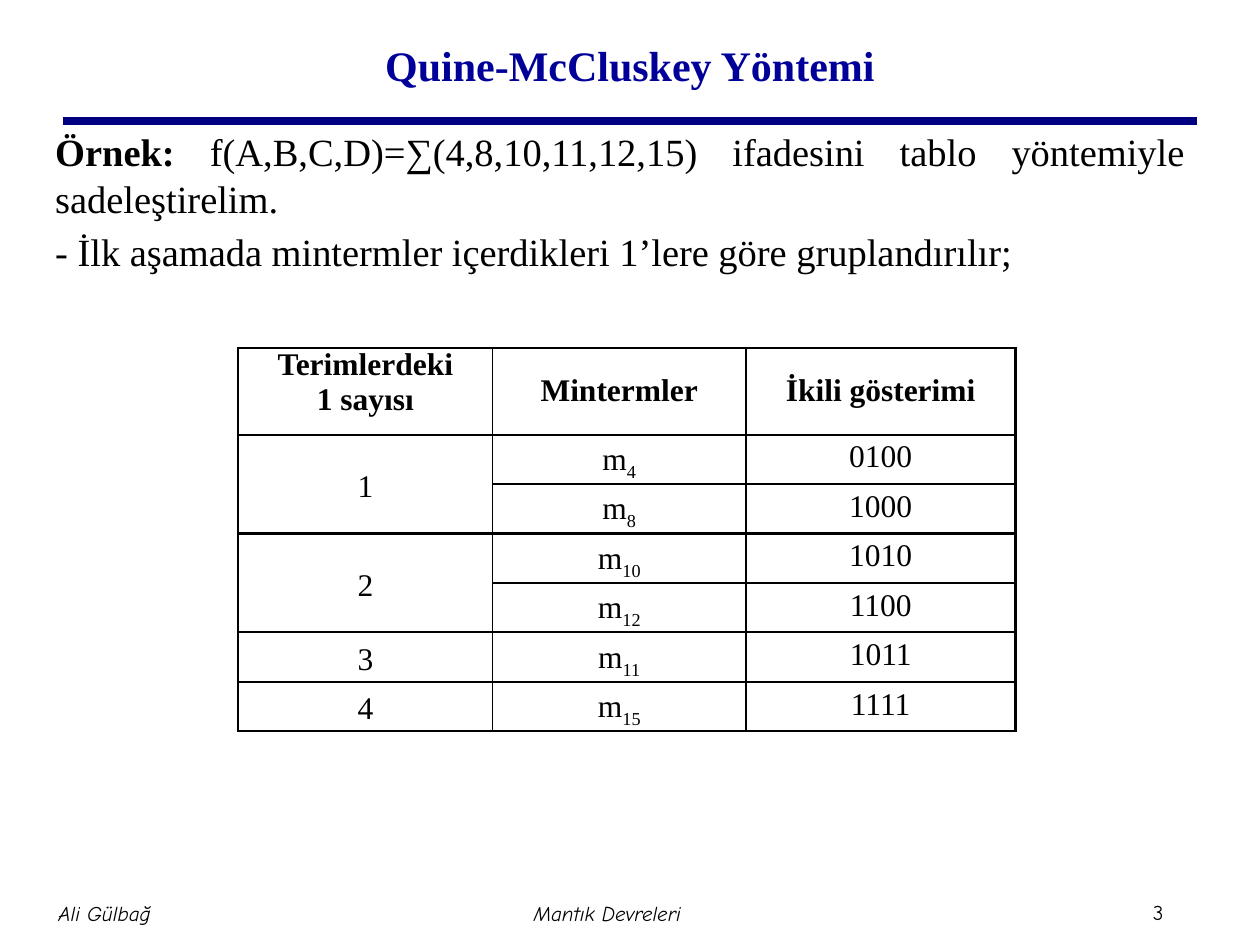
from pptx import Presentation
from pptx.dml.color import RGBColor
from pptx.enum.shapes import MSO_CONNECTOR as Link
from pptx.enum.text import MSO_ANCHOR as Anchor, PP_ALIGN as Align
from pptx.oxml.ns import qn
from pptx.util import Inches, Pt
from lxml.etree import SubElement

BLACK = RGBColor(0x00, 0x00, 0x00)
NAVY = RGBColor(0x00, 0x00, 0x80)
BLUE = RGBColor(0x00, 0x00, 0x99)
SERIF = "Times New Roman"
HAND = "Comic Neue"

COLS = (2.02, 2.01, 2.14)
HEAD_H, ROW_H = 0.69, 0.33
HEADS = (("Terimlerdeki", "1 sayısı"), ("Mintermler",), ("İkili gösterimi",))
GROUPS = (
    ("1", (("4", "0100"), ("8", "1000"))),
    ("2", (("10", "1010"), ("12", "1100"))),
    ("3", (("11", "1011"),)),
    ("4", (("15", "1111"),)),
)


def add_run(para, text, size, color=BLACK, face=SERIF, bold=False, italic=False):
    run = para.add_run()
    run.text = text
    font = run.font
    font.name, font.size = face, Pt(size)
    font.bold, font.italic = bold, italic
    font.color.rgb = color
    return run


def add_box(slide, box, anchor=Anchor.TOP, inset=0.1):
    frame = slide.shapes.add_textbox(*map(Inches, box)).text_frame
    frame.word_wrap = True
    frame.vertical_anchor = anchor
    frame.margin_left = frame.margin_right = Inches(inset)
    return frame


def add_title(slide, box):
    para = add_box(slide, box, Anchor.MIDDLE).paragraphs[0]
    para.alignment = Align.CENTER
    add_run(para, "Quine-McCluskey Yöntemi", 24, BLUE, bold=True)


def add_rule(slide, left, top, width):
    x, y = Inches(left), Inches(top)
    rule = slide.shapes.add_connector(Link.STRAIGHT, x, y, x + Inches(width), y)
    rule.line.color.rgb = NAVY
    rule.line.width = Pt(4.5)
    SubElement(rule._element.spPr, qn("a:effectLst"))


def add_body(slide, box):
    frame = add_box(slide, box)
    task = frame.paragraphs[0]
    add_run(task, "Örnek: ", 22, bold=True)
    add_run(task, "f(A,B,C,D)=∑(4,8,10,11,12,15) ifadesini tablo "
                  "yöntemiyle sadeleştirelim.", 22)
    step = frame.add_paragraph()
    step.space_before = Pt(4.4)
    add_run(step, "- İlk aşamada mintermler içerdikleri 1’lere göre "
                  "gruplandırılır;", 22)
    for para in frame.paragraphs:
        para.alignment = Align.JUSTIFY


def add_footer(slide, box, text, align=Align.CENTER, italic=True):
    para = add_box(slide, box, Anchor.MIDDLE, 0.05).paragraphs[0]
    para.alignment = align
    add_run(para, text, 12, face=HAND, italic=italic)


def set_edges(cell, widths):
    """Draw the left, right, top and bottom borders, widths in points."""
    props = cell._tc.get_or_add_tcPr()
    for side, width in zip("LRTB", widths):
        line = SubElement(props, qn("a:ln" + side), w=str(Pt(width)))
        fill = SubElement(line, qn("a:solidFill"))
        SubElement(fill, qn("a:srgbClr"), val=str(BLACK))
    cell.fill.background()


def fill_cell(cell, lines, anchor=Anchor.MIDDLE, sub="", bold=False, space=None):
    cell.vertical_anchor = anchor
    cell.margin_left = cell.margin_right = Inches(0.07)
    cell.margin_top = cell.margin_bottom = 0
    frame = cell.text_frame
    for i, text in enumerate(lines):
        para = frame.add_paragraph() if i else frame.paragraphs[0]
        para.alignment = Align.CENTER
        para.line_spacing = space
        add_run(para, text, 18, bold=bold)
    if sub:
        low = add_run(para, sub, 18)
        low.font._element.set("baseline", "-25000")


def add_terms(slide, left, top):
    count = 1 + sum(len(terms) for _, terms in GROUPS)
    height = HEAD_H + (count - 1) * ROW_H
    box = map(Inches, (left, top, sum(COLS), height))
    table = slide.shapes.add_table(count, len(COLS), *box).table
    table.first_row = table.horz_banding = False
    for col, width in zip(table.columns, COLS):
        col.width = Inches(width)
    for i, row in enumerate(table.rows):
        row.height = Inches(ROW_H if i else HEAD_H)

    starts = {0}
    for c, lines in enumerate(HEADS):
        anchor = Anchor.MIDDLE if c else Anchor.TOP
        fill_cell(table.cell(0, c), lines, anchor, bold=True)
    r = 1
    for ones, terms in GROUPS:
        starts.add(r)
        first = table.cell(r, 0)
        if len(terms) > 1:
            first.merge(table.cell(r + len(terms) - 1, 0))
        fill_cell(first, (ones,), space=1.15)
        for index, bits in terms:
            fill_cell(table.cell(r, 1), ("m",), sub=index, space=1.15)
            fill_cell(table.cell(r, 2), (bits,), Anchor.TOP, space=1.15)
            r += 1
    starts.add(r)

    last = len(COLS) - 1
    for r in range(count):
        for c in range(len(COLS)):
            set_edges(table.cell(r, c), (
                1 if c else 1.5,
                1.5 if c == last else 1,
                1.5 if r in starts else 1,
                1.5 if r + 1 in starts else 1,
            ))


def main():
    deck = Presentation()
    deck.slide_width, deck.slide_height = Inches(10), Inches(7.5)
    slide = deck.slides.add_slide(deck.slide_layouts[6])
    add_rule(slide, 0.5, 0.96, 9)
    add_footer(slide, (9.1, 7.09, 0.47, 0.3), "3", Align.LEFT, italic=False)
    add_footer(slide, (-0.96, 7, 3.58, 0.5), "Ali Gülbağ")
    add_title(slide, (0.75, 0.08, 8.5, 0.86))
    add_body(slide, (0.34, 0.97, 9.16, 5.55))
    add_footer(slide, (3.03, 7, 3.58, 0.5), "Mantık Devreleri")
    add_terms(slide, 1.89, 2.76)
    deck.save("out.pptx")


if __name__ == "__main__":
    main()
